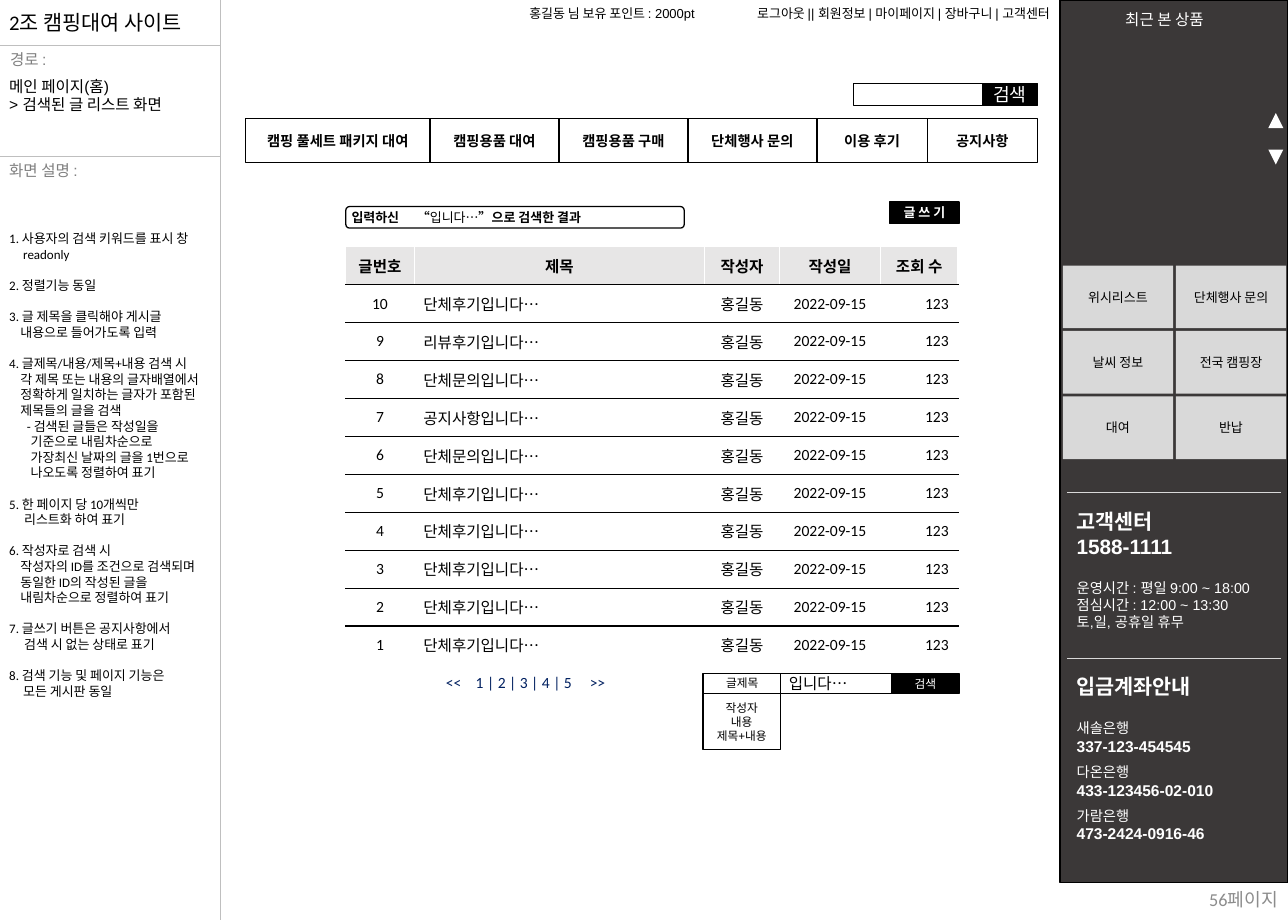
import pptx
import pptx.dml.color
import pptx.enum.shapes
import pptx.enum.text
import pptx.oxml
import pptx.oxml.ns
import pptx.util
from pptx.util import Inches

COLORS = {
    "white": "FFFFFF", "black": "000000", "panel": "3B3838", "tile": "D9D9D9",
    "rule": "BFBFBF", "label": "808080", "page": "8C8C8C", "header": "E7E6E6", "pager": "002060",
}
SHAPES = pptx.enum.shapes.MSO_SHAPE
ALIGN = {"l": pptx.enum.text.PP_ALIGN.LEFT, "c": pptx.enum.text.PP_ALIGN.CENTER,
         "r": pptx.enum.text.PP_ALIGN.RIGHT}
MIDDLE = pptx.enum.text.MSO_ANCHOR.MIDDLE
POSTS = ["단체후기", "리뷰후기", "단체문의", "공지사항", "단체문의"] + ["단체후기"] * 5
# Each note: hanging indent, text
NOTES = [
    (0.15, "1. 사용자의 검색 키워드를 표시 창\vreadonly"),
    (0.12, "2. 정렬기능 동일"),
    (0.12, "3. 글 제목을 클릭해야 게시글\v내용으로 들어가도록 입력"),
    (0.12, "4. 글제목/내용/제목+내용 검색 시\v각 제목 또는 내용의 글자배열에서\v"
           "정확하게 일치하는 글자가 포함된\v제목들의 글을 검색"),
    (0.23, "- 검색된 글들은 작성일을\v기준으로 내림차순으로\v가장최신 날짜의 글을 1번으로\v나오도록 정렬하여 표기"),
    (0.16, "5. 한 페이지 당 10개씩만\v리스트화 하여 표기"),
    (0.12, "6. 작성자로 검색 시\v작성자의 ID를 조건으로 검색되며\v동일한 ID의 작성된 글을\v내림차순으로 정렬하여 표기"),
    (0.16, "7. 글쓰기 버튼은 공지사항에서\v검색 시 없는 상태로 표기"),
    (0.15, "8. 검색 기능 및 페이지 기능은\v모든 게시판 동일"),
]


def rgb(name):
    return pptx.dml.color.RGBColor.from_string(COLORS[name])


def style(paragraph, size, color="black", font="Arial", bold=False, align="l", before=0):
    paragraph.alignment = ALIGN[align]
    if before:
        paragraph.space_before = pptx.util.Pt(before)
    for run in paragraph.runs:
        run.font.size = pptx.util.Pt(size)
        run.font.name = font
        run.font.bold = bold
        run.font.color.rgb = rgb(color)


def write(text_frame, text, size, **options):
    """Fill a text frame with one evenly styled text, a paragraph per line."""
    text_frame.word_wrap = True
    text_frame.text = text
    for paragraph in text_frame.paragraphs:
        style(paragraph, size, **options)


def set_tabs(paragraph, *stops):
    properties = paragraph._p.get_or_add_pPr()
    tabs = pptx.oxml.parse_xml(f'<a:tabLst {pptx.oxml.ns.nsdecls("a")}>' + "".join(
        f'<a:tab pos="{Inches(stop)}" algn="l"/>' for stop in stops) + "</a:tabLst>")
    properties.append(tabs)


def add_text(slide, box, text="", size=10, **options):
    shape = slide.shapes.add_textbox(*map(Inches, box))
    write(shape.text_frame, text, size, **options)
    return shape


def add_box(slide, box, fill=None, line="black", text="", size=10, kind=SHAPES.RECTANGLE, **options):
    shape = slide.shapes.add_shape(kind, *map(Inches, box))
    shape.shadow.inherit = False
    if fill:
        shape.fill.solid()
        shape.fill.fore_color.rgb = rgb(fill)
    else:
        shape.fill.background()
    if line:
        shape.line.color.rgb = rgb(line)
        shape.line.width = pptx.util.Pt(1)
    else:
        shape.line.fill.background()
    if text:
        frame = shape.text_frame
        write(frame, text, size, **{"align": "c", **options})
        frame.vertical_anchor = MIDDLE
        frame.margin_left = frame.margin_right = frame.margin_top = frame.margin_bottom = 0
    return shape


def add_rule(slide, x1, y1, x2, y2, color="rule", width=0.5):
    line = slide.shapes.add_connector(pptx.enum.shapes.MSO_CONNECTOR.STRAIGHT,
                                      *map(Inches, (x1, y1, x2, y2)))
    line.line.color.rgb = rgb(color)
    line.line.width = pptx.util.Pt(width)
    line._element.spPr.append(pptx.oxml.parse_xml(f'<a:effectLst {pptx.oxml.ns.nsdecls("a")}/>'))


def add_description(slide, left, top, width, height):
    """Left column: title, route and numbered screen notes."""
    right = left + width
    add_text(slide, (left, top + 0.06, width, 0.37), "2조 캠핑대여 사이트", 16, font="Calibri")
    add_text(slide, (left + 0.01, top + 0.49, 2.13, 0.3), "경로 :", 12, color="label")
    add_text(slide, (left, top + 0.77, width, 0.5), "메인 페이지(홈)\n> 검색된 글 리스트 화면", 12)
    add_text(slide, (left, top + 1.67, 2.13, 0.31), "화면 설명 :", 12, color="label")
    for y in (0.49, 1.67):
        add_rule(slide, left, top + y, right, top + y)
    add_rule(slide, right, top, right, top + height)

    notes = add_text(slide, (left, top + 2.42, 2.41, 5.32), "\n".join(text for _, text in NOTES),
                     font="Calibri")
    for index, (paragraph, (indent, text)) in enumerate(zip(notes.text_frame.paragraphs, NOTES)):
        is_detail = text.startswith("-")
        properties = paragraph._p.get_or_add_pPr()
        properties.set("marL", str(Inches(indent)))
        properties.set("indent", str(-Inches(0.04 if is_detail else indent)))
        if index and not is_detail:
            paragraph.space_before = pptx.util.Pt(12)


def add_site_header(slide, left, top, width):
    """Account links, site search and the row of menu buttons."""
    right = left + width
    add_text(slide, (left + 2.65, top + 0.01, 2.25, 0.27), "홍길동 님 보유 포인트 : 2000pt", align="r")
    add_text(slide, (right - 3.75, top + 0.01, 3.98, 0.27),
             "로그아웃 || 회원정보 | 마이페이지 | 장바구니 | 고객센터", align="r")
    add_box(slide, (right - 1.97, top + 0.89, 1.38, 0.24), "white")
    add_box(slide, (right - 0.59, top + 0.89, 0.59, 0.24), "black", text="검색", size=14,
            font="Calibri", color="white")
    menu = [("캠핑 풀세트 패키지 대여", 1.97), ("캠핑용품 대여", 1.38), ("캠핑용품 구매", 1.38),
            ("단체행사 문의", 1.38), ("이용 후기", 1.18), ("공지사항", 1.18)]
    for label, button_width in menu:
        add_box(slide, (left, top + 1.27, button_width, 0.47), text=label, size=11, bold=True)
        left += button_width


def set_borders(cell, **sides):
    properties = cell._tc.get_or_add_tcPr()
    for index, side in enumerate("LRTB"):
        properties.insert(index, pptx.oxml.parse_xml(
            f'<a:ln{side} {pptx.oxml.ns.nsdecls("a")} w="12700"><a:solidFill>'
            f'<a:srgbClr val="{COLORS[sides.get(side, "white")]}"/></a:solidFill></a:ln{side}>'))


def add_post_table(slide, left, top, width, height):
    rows = [["글번호", "제목", "작성자", "작성일", "조회 수"]]
    rows += [[str(10 - index), f"{post}입니다…", "홍길동", "2022-09-15", "123"]
             for index, post in enumerate(POSTS)]
    rows.append(["<<\t1 | 2 | 3 | 4 | 5\t>>", "", "글제목", "입니다…", ""])
    last = len(rows) - 1
    table = slide.shapes.add_table(len(rows), 5, *map(Inches, (left, top, width, height))).table
    for column, column_width in zip(table.columns, (0.73, 3.11, 0.8, 1.08, 0.83)):
        column.width = Inches(column_width)
    for r, row in enumerate(rows):
        for c, text in enumerate(row):
            cell = table.cell(r, c)
            cell.vertical_anchor = MIDDLE
            cell.fill.solid()
            cell.fill.fore_color.rgb = rgb("white" if r else "header")
            set_borders(cell, T="black" if 0 < r < last else "white",
                        B="black" if r < last - 1 else "white")
            align = "c" if r == 0 else "lllll"[c] if r == last and c != 2 else "clccr"[c]
            write(cell.text_frame, text, 9 if r == last and c == 2 else 12, font="Calibri",
                  bold=r == 0, align=align, color="pager" if r == last and c == 0 else "black")
    pager = table.cell(last, 0)
    pager.merge(table.cell(last, 1))
    pager.margin_left = Inches(1.07)
    set_tabs(pager.text_frame.paragraphs[0], 0.32, 1.54)


def add_board(slide, left, top, width):
    """Search summary, write button, post table and the search form below it."""
    right = left + width
    summary = add_box(slide, (left, top + 0.05, 3.62, 0.23), "white", text="입력하신\t“",
                      kind=SHAPES.ROUNDED_RECTANGLE, font="Calibri", bold=True, align="l")
    summary.text_frame.margin_left = Inches(0.05)
    paragraph = summary.text_frame.paragraphs[0]
    for text in ("입니다…", "”\t으로 검색한 결과"):
        paragraph.add_run().text = text
    style(paragraph, 10, font="Calibri", bold=True)
    paragraph.runs[1].font.bold = False
    set_tabs(paragraph, 0.7, 1.5)
    add_box(slide, (right - 0.74, top, 0.74, 0.23), "black", text="글 쓰 기", font="Calibri",
            bold=True, color="white")
    add_post_table(slide, left, top + 0.48, width, 4.87)

    form_left, form_top = right - 2.74, top + 5.04
    add_box(slide, (form_left, form_top, 0.83, 0.22))
    add_box(slide, (form_left, form_top + 0.22, 0.83, 0.6), text="작성자\n내용\n제목+내용", size=9)
    add_box(slide, (form_left + 0.83, form_top, 1.19, 0.22))
    add_box(slide, (form_left + 2.02, form_top, 0.72, 0.22), "black", text="검색", size=9,
            font="Calibri", color="white")


def add_side_text(slide, box, lines):
    """Lines are (text, size, bold, space before)."""
    shape = add_text(slide, box, "\n".join(line[0] for line in lines))
    for paragraph, (_, size, bold, before) in zip(shape.text_frame.paragraphs, lines):
        style(paragraph, size, color="white", bold=bold, before=before)


def add_side_panel(slide, left, top, width, height):
    add_box(slide, (left, top, width, height), "panel")
    add_text(slide, (left + 0.6, top + 0.06, 1.23, 0.3), "최근 본 상품", 12, color="white")
    for y, rotation in ((1.21, 0), (1.6, 180)):
        arrow = add_box(slide, (left + 2.23, top + y, 0.16, 0.16), "white", None,
                        kind=SHAPES.ISOSCELES_TRIANGLE)
        arrow.rotation = rotation
    tiles = ["위시리스트", "단체행사 문의", "날씨 정보", "전국 캠핑장", "대여", "반납"]
    for index, label in enumerate(tiles):
        row, column = divmod(index, 2)
        add_box(slide, (left + 0.03 + 1.21 * column, top + 2.84 + 0.7 * row, 1.18, 0.67),
                "tile", None, label)
    for y in (5.27, 7.04):
        add_rule(slide, left + 0.08, top + y, left + 2.36, top + y, "tile", 1)
    add_side_text(slide, (left + 0.08, top + 5.39, 2.28, 1.43), [
        ("고객센터", 16, True, 0), ("1588-1111", 16, True, 0),
        ("운영시간 : 평일 9:00 ~ 18:00", 11, False, 16),
        ("점심시간 : 12:00 ~ 13:30", 11, False, 0), ("토,일, 공휴일 휴무", 11, False, 0)])
    accounts = [("새솔은행", "337-123-454545", 16), ("다온은행", "433-123456-02-010", 6),
                ("가람은행", "473-2424-0916-46", 6)]
    lines = [("입금계좌안내", 16, True, 0)]
    for bank, number, before in accounts:
        lines += [(bank, 11, False, before), (number, 12, True, 0)]
    add_side_text(slide, (left + 0.08, top + 7.16, 2.28, 1.94), lines)


def main():
    presentation = pptx.Presentation()
    presentation.slide_width = Inches(13.78)
    presentation.slide_height = Inches(9.84)
    slide = presentation.slides.add_slide(presentation.slide_layouts[6])
    add_site_header(slide, 2.63, 0, 8.47)
    add_side_panel(slide, 11.34, 0, 2.44, 9.44)
    add_description(slide, 0, 0, 2.36, 9.84)
    add_board(slide, 3.7, 2.16, 6.56)
    page = add_text(slide, (12.12, 9.42, 1.65, 0.39), "56페이지", 14, font="Calibri",
                    color="page", align="r")
    page.text_frame.vertical_anchor = MIDDLE
    presentation.save("out.pptx")


if __name__ == "__main__":
    main()
